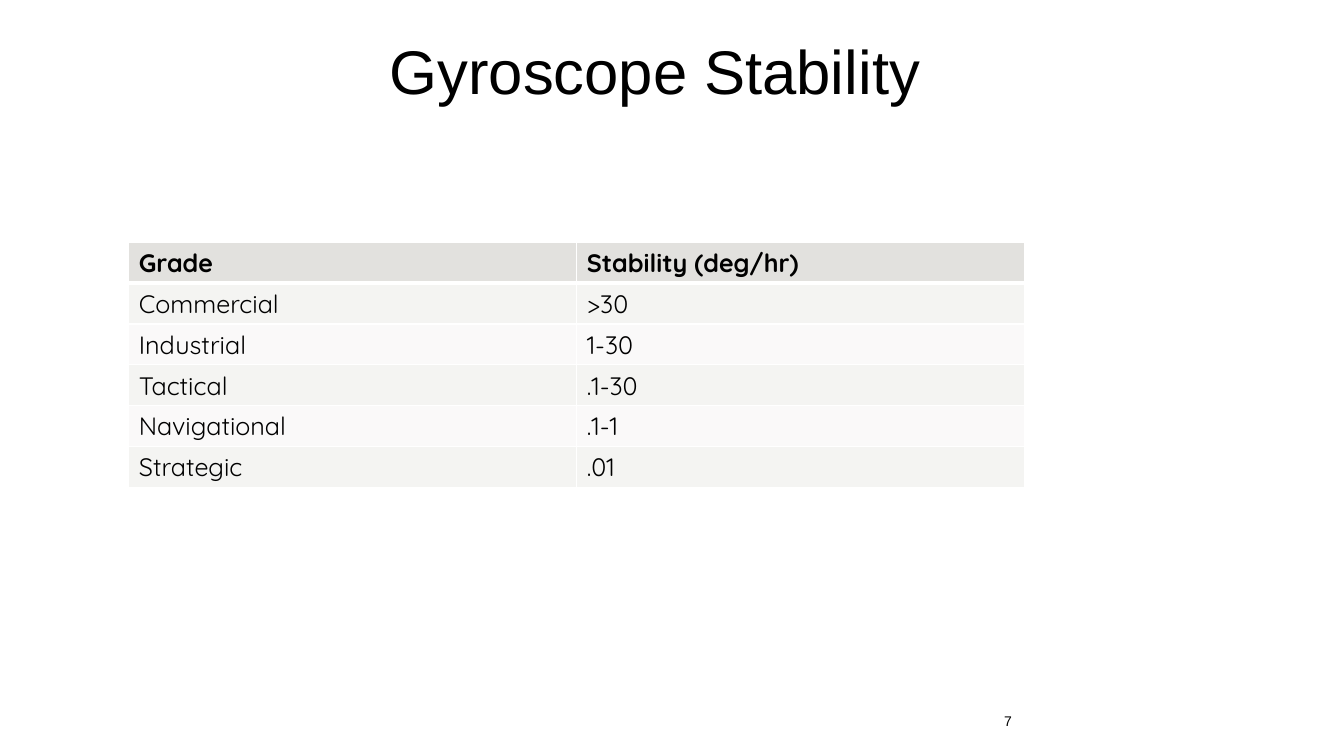
import pptx
import pptx.dml.color
import pptx.enum.text
import pptx.oxml
import pptx.oxml.ns
import pptx.util

Pt = pptx.util.Pt
RGBColor = pptx.dml.color.RGBColor

BLACK = RGBColor(0x00, 0x00, 0x00)
WHITE = RGBColor(0xFF, 0xFF, 0xFF)
HEADER_FILL = RGBColor(0xE2, 0xE1, 0xDE)
BAND_FILLS = (RGBColor(0xFA, 0xF9, 0xF9), RGBColor(0xF4, 0xF4, 0xF2))

GRADES = (
    ("Grade", "Stability (deg/hr)"),
    ("Commercial", ">30"),
    ("Industrial", "1-30"),
    ("Tactical", ".1-30"),
    ("Navigational", ".1-1"),
    ("Strategic", ".01"),
)
COLUMN_WIDTH = 320
ROW_HEIGHT = 29.2


def style_text(para, typeface, size, bold=False):
    """Set the font of a paragraph."""
    para.font.name = typeface
    para.font.size = Pt(size)
    para.font.bold = bold
    para.font.color.rgb = BLACK


def add_centred_text(page, text, left, top, width, height, size):
    """Add a line of text centred in its box."""
    box = page.shapes.add_textbox(Pt(left), Pt(top), Pt(width), Pt(height))
    frame = box.text_frame
    frame.word_wrap = True
    frame.vertical_anchor = pptx.enum.text.MSO_ANCHOR.MIDDLE
    para = frame.paragraphs[0]
    para.text = text
    para.alignment = pptx.enum.text.PP_ALIGN.CENTER
    style_text(para, "Arial", size)
    return para


def add_border(cell, edge, width):
    """Draw one white edge of a table cell."""
    namespace = pptx.oxml.ns.nsdecls("a")
    line = pptx.oxml.parse_xml(
        f'<a:{edge} {namespace} w="{Pt(width)}"><a:solidFill>'
        f'<a:srgbClr val="{WHITE}"/></a:solidFill></a:{edge}>'
    )
    cell._tc.get_or_add_tcPr().append(line)


def style_cell(cell, text, row):
    """Write and format one cell of the grade table."""
    cell.text = text
    style_text(cell.text_frame.paragraphs[0], "Quicksand", 18, bold=row == 0)
    top_width = 3 if row == 1 else 1
    bottom_width = 3 if row == 0 else 1
    for edge, width in (("lnL", 1), ("lnR", 1), ("lnT", top_width), ("lnB", bottom_width)):
        add_border(cell, edge, width)
    cell.fill.solid()
    cell.fill.fore_color.rgb = BAND_FILLS[row % 2] if row else HEADER_FILL


def add_grade_table(page, left, top):
    """Add the table of gyroscope grades."""
    rows, columns = len(GRADES), len(GRADES[0])
    frame = page.shapes.add_table(
        rows, columns, Pt(left), Pt(top), Pt(columns * COLUMN_WIDTH), Pt(rows * ROW_HEIGHT)
    )
    for row, texts in enumerate(GRADES):
        for column, text in enumerate(texts):
            style_cell(frame.table.cell(row, column), text, row)


def main():
    """Build the gyroscope stability slide."""
    deck = pptx.Presentation()
    deck.slide_width, deck.slide_height = Pt(960), Pt(540)
    page = deck.slides.add_slide(deck.slide_layouts[6])
    title = add_centred_text(page, "Gyroscope Stability", 34, 19.5, 868, 68, 44)
    title.line_spacing = 0.9
    add_centred_text(page, "7", 636, 500.5, 168, 29, 10)
    add_grade_table(page, 92, 173)
    deck.save("out.pptx")


if __name__ == "__main__":
    main()
